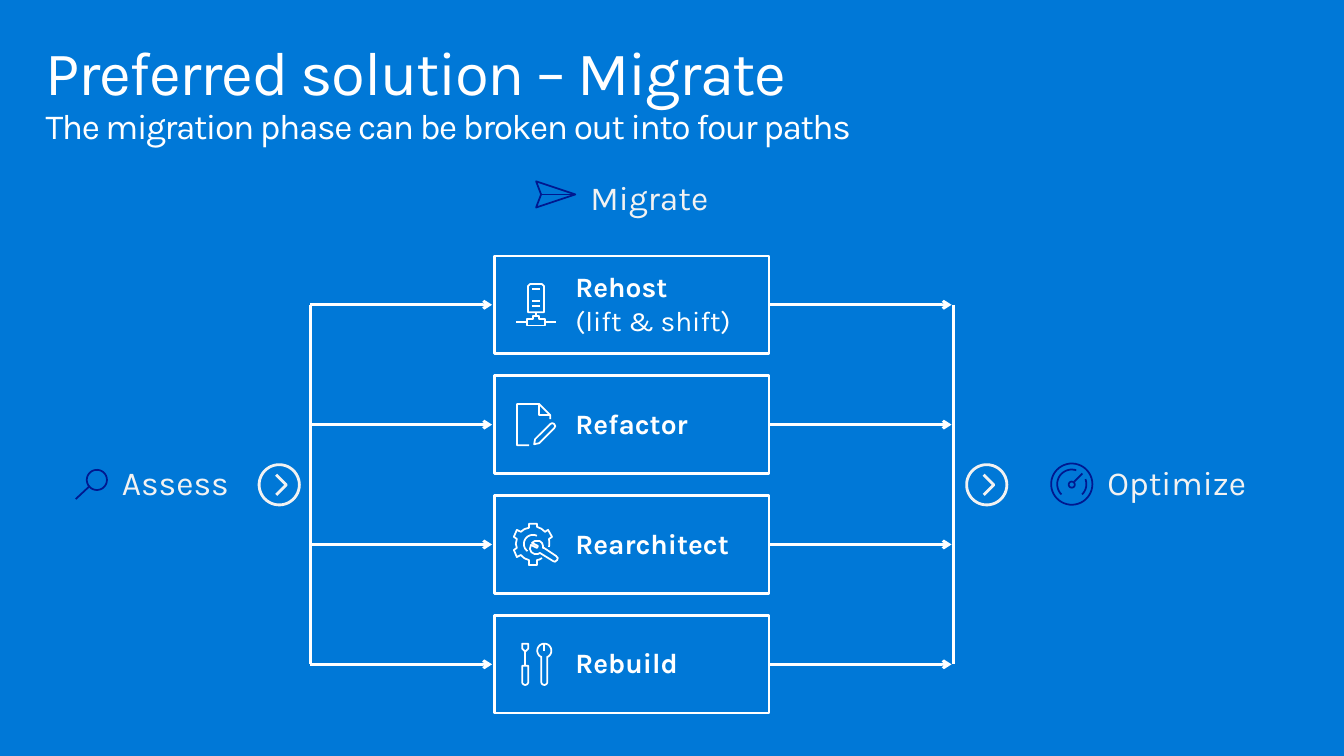
from dataclasses import dataclass
from math import cos, radians, sin

from lxml import etree
from pptx import Presentation
from pptx.dml.color import RGBColor
from pptx.enum.shapes import MSO_CONNECTOR, MSO_SHAPE
from pptx.enum.text import MSO_ANCHOR, MSO_AUTO_SIZE, PP_ALIGN
from pptx.oxml.ns import qn
from pptx.util import Cm, Pt

STRAIGHT = MSO_CONNECTOR.STRAIGHT
RECTANGLE = MSO_SHAPE.RECTANGLE
TOP, MIDDLE = MSO_ANCHOR.TOP, MSO_ANCHOR.MIDDLE
FIT_SHAPE = MSO_AUTO_SIZE.SHAPE_TO_FIT_TEXT
LEFT = PP_ALIGN.LEFT


@dataclass(frozen=True)
class Theme:
    font: str = "Karla"
    blue: RGBColor = RGBColor(0x00, 0x78, 0xD7)
    white: RGBColor = RGBColor(0xFF, 0xFF, 0xFF)
    pale: RGBColor = RGBColor(0xF2, 0xF2, 0xF2)
    navy: RGBColor = RGBColor(0x00, 0x18, 0x8F)
    title: float = 44.1
    subtitle: float = 25.2
    phase: float = 24
    path_name: float = 20
    bold_line: float = 2
    thin_line: float = 1.25


THEME = Theme()
ICON_UNIT = Cm(1.04) / 41  # icons are drawn on a 41-unit grid
PRECISION = 100  # steps per icon unit

BOX_LEFT, BOX_TOP, BOX_WIDTH, BOX_HEIGHT, BOX_PITCH = 12.47, 6.45, 6.91, 2.46, 3.02


def arc(x, y, radius, start=0, end=360):
    """Points on a circle; angles in degrees, clockwise from the right."""
    steps = max(8, abs(end - start) // 8)
    angles = [radians(start + (end - start) * i / steps) for i in range(steps + 1)]
    return [(round(x + radius * cos(a), 2), round(y + radius * sin(a), 2)) for a in angles]


# Each icon is a list of strokes; a stroke that ends where it starts is closed.
PLANE = [[(3, 1), (39, 13), (0, 26), (5, 13), (0, 0), (3, 1)], [(5, 13), (39, 13)]]
MAGNIFIER = [arc(21, 10, 10), [(0, 29), (14, 16)]]
CHEVRON = [arc(20, 20, 20), [(17, 30), (27, 20), (17, 10)]]
GAUGE = [
    arc(20.5, 20.5, 20.5), arc(20.5, 21, 3),
    arc(20.5, 20.5, 14.5, 45, -20), arc(20.5, 20.5, 14.5, -72, -225),
    [(31, 10), (23, 18)],
]
SERVER = [
    [(11, 41), (11, 35), (17, 35), (17, 32), (23, 32), (23, 35), (29, 35), (29, 41), (11, 41)],
    [(28, 28), (28, 2), (26, 0), (14, 0), (12, 2), (12, 28), (28, 28)],
    [(11, 38), (0, 38)], [(29, 38), (40, 38)], [(20, 32), (20, 28)],
    *([(16, y), (24, y)] for y in (5, 17, 22)),
]
EDIT_PAGE = [
    [(33, 11), (22, 11), (22, 0)],
    [(33, 15), (33, 11), (22, 0), (0, 0), (0, 41), (12, 41)],
    [(17, 40), (22, 39), (37, 24), (38, 22), (37, 20), (35, 19), (33, 20), (18, 35), (17, 40)],
]
GEAR = [
    [(28, 34), (25.5, 35.5), (23, 36), (23, 41), (15, 41), (15, 36), (10.5, 34.3), (7, 31),
     (3, 33), (0, 26), (3, 24), (2, 20), (3, 15), (0, 13), (3, 6), (7, 8), (10.5, 5.3),
     (15, 4), (15, 0), (23, 0), (23, 3), (27.5, 5), (31, 8), (34, 6), (38, 13), (35, 15),
     (35.3, 20), (35, 23)],
    arc(19, 20, 9, -64, -233),
    [(26, 29), (39, 37), (41, 37.7), (43, 36), (43.7, 34), (42, 32), (30, 24), (29, 24),
     (29, 22), (28, 19), (25.5, 17), (21, 17), (18, 19), (24, 22), (23, 24), (17, 21),
     (16, 25), (17.5, 28.3), (20.5, 30), (24, 30), (26, 29)],
]
TOOLS = [
    [(25, 13), *arc(22, 7, 7, 60, -240), (19, 13), *arc(22, 38, 3, 180, 0), (25, 13)],
    [(0, 22), *arc(3, 38, 3, 180, 0), (6, 22), (0, 22)],
    [(0, 0), (0, 5), (3, 8), (6, 5), (6, 0), (0, 0)],
    [(3, 8), (3, 22)], [(22, 0), (22, 7)],
]

# Text lines, icon and the icon's distance from the left edge of its box
PATHS = [
    (["Rehost", "(lift & shift)"], SERVER, 0.53),
    (["Refactor"], EDIT_PAGE, 0.56),
    (["Rearchitect"], GEAR, 0.48),
    (["Rebuild"], TOOLS, 0.69),
]


def add_span(para, text, size, color, bold=False):
    span = para.add_run()
    span.text = text
    font = span.font
    font.name, font.size, font.bold = THEME.font, Pt(size), bold
    font.color.rgb = color
    return span


def set_frame(shape, insets, anchor=TOP):
    """Prepare a text frame; insets are left, top, right, bottom in cm."""
    frame = shape.text_frame
    frame.word_wrap = True
    frame.vertical_anchor = anchor
    (frame.margin_left, frame.margin_top,
     frame.margin_right, frame.margin_bottom) = map(Cm, insets)
    return frame


def add_icon(page, left, top, strokes, color, width):
    scaled = [[(x * PRECISION, y * PRECISION) for x, y in stroke] for stroke in strokes]
    builder = page.shapes.build_freeform(*scaled[0][0], scale=ICON_UNIT / PRECISION)
    for index, stroke in enumerate(scaled):
        if index:
            builder.move_to(*stroke[0])
        builder.add_line_segments(stroke[1:], close=stroke[0] == stroke[-1])
    icon = builder.convert_to_shape(Cm(left), Cm(top))
    icon.shadow.inherit = False
    icon.fill.background()
    icon.line.color.rgb = color
    icon.line.width = Pt(width)


def add_line(page, x1, y1, x2, y2, arrow=False):
    line = page.shapes.add_connector(STRAIGHT, Cm(x1), Cm(y1), Cm(x2), Cm(y2))
    line.line.color.rgb = THEME.white
    line.line.width = Pt(THEME.bold_line)
    if arrow:
        etree.SubElement(line.line._get_or_add_ln(), qn("a:tailEnd"), type="arrow")
    etree.SubElement(line._element.spPr, qn("a:effectLst"))


def add_heading(page, left, top, width, height):
    box = page.shapes.add_textbox(Cm(left), Cm(top), Cm(width), Cm(height))
    para = set_frame(box, (0.41, 0.25, 0.41, 0.25)).paragraphs[0]
    para.line_spacing = 0.9
    title = add_span(para, "Preferred solution – Migrate", THEME.title, THEME.white)
    para.add_line_break()
    subtitle = add_span(para, "The migration phase can be broken out into four paths",
                        THEME.subtitle, THEME.white)
    for span in (title, subtitle):
        span.font._element.set("spc", "-100")


def add_phase(page, left, top, name, icon, icon_dx, icon_dy):
    """Place a phase label with its icon offset from the label's corner."""
    box = page.shapes.add_textbox(Cm(left), Cm(top), Cm(4.98), Cm(1.73))
    frame = set_frame(box, (0.25, 0.41, 0.51, 0.41))
    frame.auto_size = FIT_SHAPE
    para = frame.paragraphs[0]
    para.line_spacing = 0.9
    para.space_after = Pt(5.9)
    add_span(para, name, THEME.phase, THEME.pale)
    add_icon(page, left + icon_dx, top + icon_dy, icon, THEME.navy, THEME.thin_line)


def add_path_box(page, left, top, width, height, lines, icon, icon_dx):
    box = page.shapes.add_shape(RECTANGLE, Cm(left), Cm(top), Cm(width), Cm(height))
    box.shadow.inherit = False
    box.fill.background()
    box.line.color.rgb = THEME.white
    box.line.width = Pt(THEME.bold_line)
    frame = set_frame(box, (2.03, 0.05, 0.25, 0.13), MIDDLE)
    for index, text in enumerate(lines):
        para = frame.add_paragraph() if index else frame.paragraphs[0]
        para.alignment = LEFT
        add_span(para, text, THEME.path_name, THEME.white, bold=index == 0)
    add_icon(page, left + icon_dx, top + 0.71, icon, THEME.white, THEME.thin_line)


def add_branches(page, rail_x, arrow_start, arrow_end, lanes):
    """Draw the vertical rail and one arrow for each lane."""
    add_line(page, rail_x, lanes[0], rail_x, lanes[-1])
    for lane in lanes:
        add_line(page, arrow_start, lane, arrow_end, lane, arrow=True)


def build_migrate_page(page):
    page.background.fill.solid()
    page.background.fill.fore_color.rgb = THEME.blue
    add_heading(page, 0.74, 0.81, 32.39, 2.49)

    tops = [BOX_TOP + i * BOX_PITCH for i in range(len(PATHS))]
    for top, (lines, icon, icon_dx) in zip(tops, PATHS):
        add_path_box(page, BOX_LEFT, top, BOX_WIDTH, BOX_HEIGHT, lines, icon, icon_dx)

    lanes = [top + BOX_HEIGHT / 2 for top in tops]
    add_branches(page, 7.82, 7.82, 12.4, lanes)
    add_branches(page, 24.03, 19.41, 23.98, lanes)

    add_phase(page, 14.63, 4.17, "Migrate", PLANE, -1.12, 0.4)
    add_phase(page, 2.82, 11.35, "Assess", MAGNIFIER, -0.91, 0.49)
    add_phase(page, 27.66, 11.35, "Optimize", GAUGE, -1.17, 0.33)
    for left in (6.53, 24.36):
        add_icon(page, left, 11.71, CHEVRON, THEME.pale, THEME.bold_line)


def main():
    deck = Presentation()
    deck.slide_width, deck.slide_height = Cm(33.87), Cm(19.05)
    build_migrate_page(deck.slides.add_slide(deck.slide_layouts[6]))
    deck.save("out.pptx")


if __name__ == "__main__":
    main()
